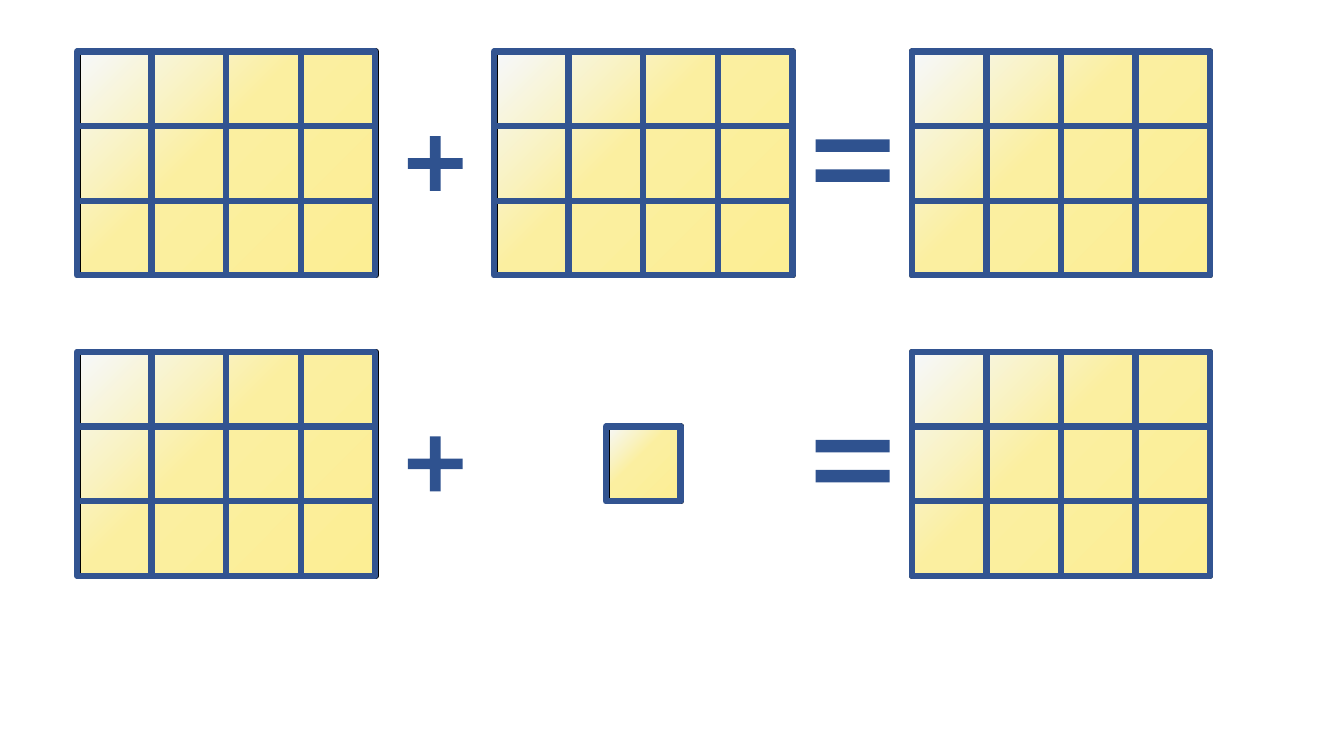
from lxml.etree import SubElement
from pptx import Presentation
from pptx.dml.color import RGBColor
from pptx.enum.shapes import MSO_SHAPE
from pptx.oxml.ns import qn
from pptx.util import Cm, Pt

CELL = 1.88
ROW_TOPS = (1.3, 8.87)


def colour(value):
    return RGBColor.from_string(value)


class ArraySlide:
    grid_line = "325491"
    panel_line = "000000"
    sign_fill = "2F528F"
    line_width = 4.5
    gradient = ((0, "F6F8FC"), (43, "FBEFA0"), (100, "FCEE94"))

    def __init__(self, page):
        self.page = page

    def shape(self, kind, left, top, width, height):
        shape = self.page.shapes.add_shape(
            kind, Cm(left), Cm(top), Cm(width), Cm(height))
        shape.shadow.inherit = False
        return shape

    def box(self, left, top, width, height, line):
        box = self.shape(MSO_SHAPE.RECTANGLE, left, top, width, height)
        box.line.color.rgb = colour(line)
        box.line.width = Pt(self.line_width)
        return box

    def panel(self, left, top, width, height):
        """Rectangle with the three-stop diagonal gradient."""
        panel = self.box(left, top, width, height, self.panel_line)
        panel.fill.gradient()
        panel.fill.gradient_angle = 315
        stops = next(panel.element.iter(qn("a:gsLst")))
        for stop in list(stops):
            stops.remove(stop)
        for percent, value in self.gradient:
            stop = SubElement(stops, qn("a:gs"), pos=str(percent * 1000))
            SubElement(stop, qn("a:srgbClr"), val=value)

    def grid(self, left, top, columns=4, rows=3, panel_shift=0.02):
        """Gradient panel with outlined unit squares on top."""
        self.panel(left + panel_shift, top, columns * CELL, rows * CELL)
        for row in range(rows):
            for column in range(columns):
                square = self.box(left + column * CELL, top + row * CELL,
                                  CELL, CELL, self.grid_line)
                square.fill.background()

    def sign(self, kind, left, top, size, adjustments):
        sign = self.shape(kind, left, top, size, size)
        sign.fill.solid()
        sign.fill.fore_color.rgb = colour(self.sign_fill)
        sign.line.fill.background()
        for index, value in enumerate(adjustments):
            sign.adjustments[index] = value


def main():
    deck = Presentation()
    deck.slide_width, deck.slide_height = Cm(33.87), Cm(19.05)
    slide = ArraySlide(deck.slides.add_slide(deck.slide_layouts[6]))

    for top in ROW_TOPS:
        # First addend
        slide.grid(1.94, top)

        # Second addend: a full array, then a single unit
        if top == ROW_TOPS[0]:
            slide.grid(12.45, top)
        else:
            slide.grid(15.27, top + CELL, columns=1, rows=1)

        # Result
        slide.grid(22.98, top, panel_shift=0)

        # Operators
        slide.sign(MSO_SHAPE.MATH_PLUS, 10.03, top + CELL, CELL, (0.143,))
        slide.sign(MSO_SHAPE.MATH_EQUAL, 20.22, top + 1.48, 2.54, (0.124, 0.173))

    deck.save("out.pptx")


if __name__ == "__main__":
    main()
